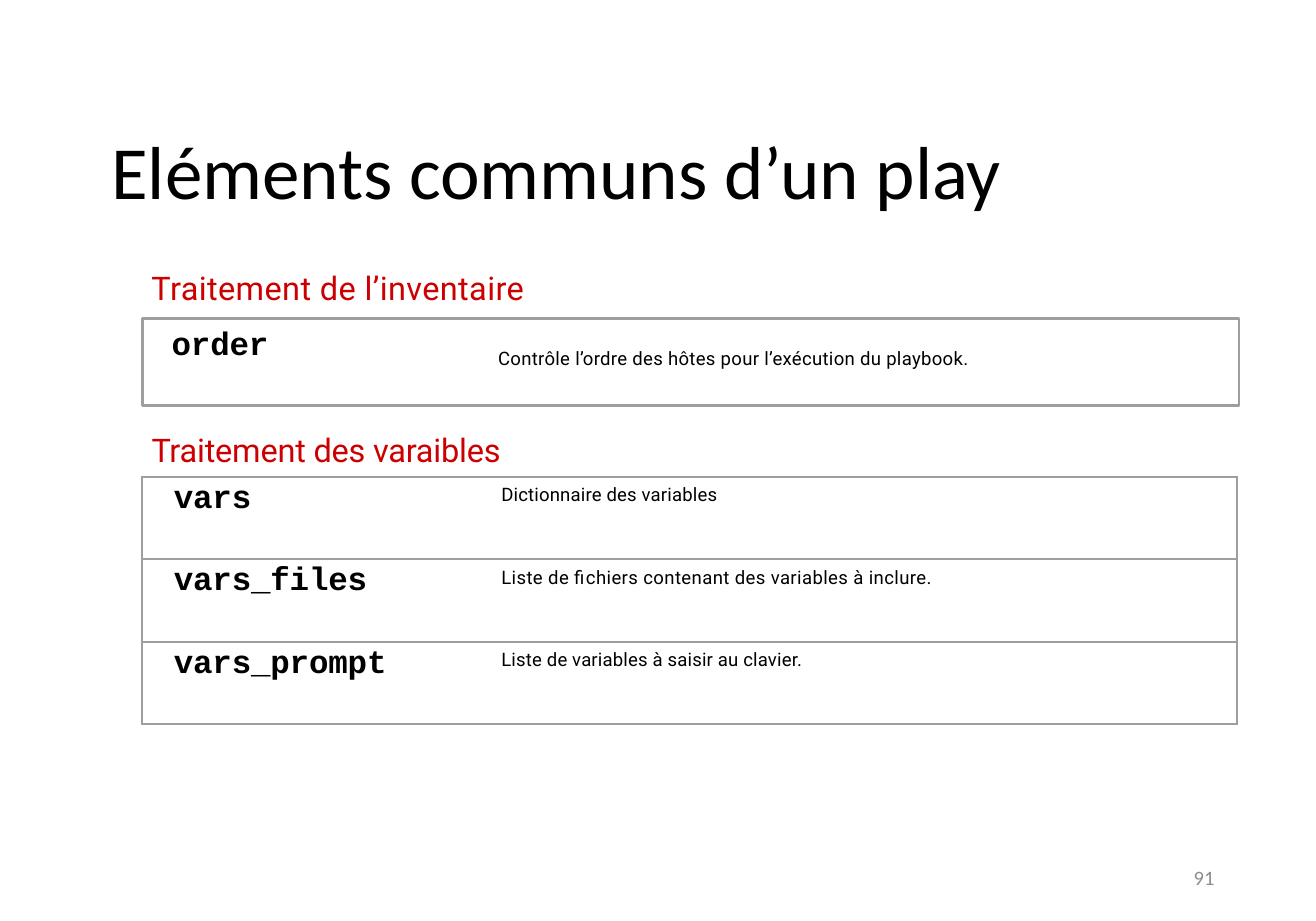
from dataclasses import dataclass

import pptx
import pptx.dml.color
import pptx.enum.shapes
import pptx.enum.text
import pptx.oxml
import pptx.oxml.ns
import pptx.util

PX = 9144  # EMU per px, 100 px to the inch
PAGE_SIZE = (pptx.util.Cm(30), pptx.util.Cm(21))
ALIGN = pptx.enum.text.PP_ALIGN
ANCHOR = pptx.enum.text.MSO_ANCHOR


@dataclass(frozen=True)
class Style:
    font: str
    size: float
    color: str
    bold: bool = False


@dataclass(frozen=True)
class Theme:
    title: Style = Style("Calibri", 48.5, "000000")
    heading: Style = Style("Roboto", 21, "CC0000")
    keyword: Style = Style("Courier New", 21, "000000", True)
    description: Style = Style("Roboto", 12, "000000")
    number: Style = Style("Calibri", 13.2, "8C8C8C")
    border: str = "9E9E9E"
    border_width: float = 1.5


@dataclass(frozen=True)
class Label:
    text: str
    style: Style
    left: int
    top: int
    width: int
    height: int
    inset_top: int = 1
    spacing: int = 0  # hundredths of a point
    align: ALIGN = ALIGN.LEFT
    anchor: ANCHOR = ANCHOR.TOP


@dataclass(frozen=True)
class Element:
    keyword: str
    description: str
    spacing: int


THEME = Theme()
TITLE = Label("Eléments communs d’un play", THEME.title, 100, 110, 916, 83,
              spacing=-5, anchor=ANCHOR.MIDDLE)
LABELS = [
    Label("Traitement de l’inventaire", THEME.heading, 136, 240, 343, 38, spacing=25),
    Label("order", THEME.keyword, 154, 289, 89, 38, spacing=-10),
    Label("Contrôle l’ordre des hôtes pour l’exécution du playbook.",
          THEME.description, 447, 309, 431, 22, inset_top=2, spacing=20),
    Label("Traitement des varaibles", THEME.heading, 136, 385, 318, 38, spacing=-15),
    Label("91", THEME.number, 834, 765, 256, 44, align=ALIGN.RIGHT,
          anchor=ANCHOR.MIDDLE),
]
VARIABLES = [
    Element("vars", "Dictionnaire des variables", 10),
    Element("vars_files", "Liste de fichiers contenant des variables à inclure.", 25),
    Element("vars_prompt", "Liste de variables à saisir au clavier.", 10),
]
COLUMN_WIDTHS = (272, 711)
ROW_HEIGHT = 74


def px(length: int) -> int:
    return pptx.util.Emu(length * PX)


def rgb(color: str) -> pptx.dml.color.RGBColor:
    return pptx.dml.color.RGBColor.from_string(color)


def write(paragraph, text: str, style: Style, spacing: int) -> None:
    run = paragraph.add_run()
    run.text = text
    formats = {"name": style.font, "size": pptx.util.Pt(style.size), "bold": style.bold}
    for name, value in formats.items():
        setattr(run.font, name, value)
    run.font.color.rgb = rgb(style.color)
    run.font._element.set("spc", str(spacing))


def fill_label(shape, label: Label) -> None:
    frame = shape.text_frame
    formats = {
        "word_wrap": True,
        "auto_size": pptx.enum.text.MSO_AUTO_SIZE.NONE,
        "vertical_anchor": label.anchor,
        "margin_left": 0,
        "margin_top": px(label.inset_top),
        "margin_right": 0,
        "margin_bottom": 0,
    }
    for name, value in formats.items():
        setattr(frame, name, value)
    frame.paragraphs[0].alignment = label.align
    write(frame.paragraphs[0], label.text, label.style, label.spacing)


def fill_cell(cell, text: str, style: Style, indent: int, inset_top: int,
              spacing: int, open_side: str) -> None:
    margins = {"margin_left": indent, "margin_top": inset_top,
               "margin_right": 0, "margin_bottom": 0}
    for name, value in margins.items():
        setattr(cell, name, px(value))
    write(cell.text_frame.paragraphs[0], text, style, spacing)

    # Borders come before the fill in the cell properties
    properties = cell._tc.get_or_add_tcPr()
    for side in ("L", "R", "T", "B"):
        paint = ("<a:noFill/>" if side == open_side else
                 f'<a:solidFill><a:srgbClr val="{THEME.border}"/></a:solidFill>')
        properties.append(pptx.oxml.parse_xml(
            f'<a:ln{side} {pptx.oxml.ns.nsdecls("a")} '
            f'w="{pptx.util.Pt(THEME.border_width)}">{paint}</a:ln{side}>'))
    cell.fill.background()


def add_variables(slide) -> None:
    table = slide.shapes.add_table(
        len(VARIABLES), len(COLUMN_WIDTHS), px(127), px(428),
        px(sum(COLUMN_WIDTHS)), px(ROW_HEIGHT * len(VARIABLES))).table
    table.first_row = table.horz_banding = False
    for column, width in zip(table.columns, COLUMN_WIDTHS):
        column.width = px(width)
    for index, element in enumerate(VARIABLES):
        table.rows[index].height = px(ROW_HEIGHT)
        fill_cell(table.cell(index, 0), element.keyword, THEME.keyword,
                  29, 4, -10, "R")
        fill_cell(table.cell(index, 1), element.description, THEME.description,
                  51, 7, element.spacing, "L")


def add_order_frame(slide) -> None:
    frame = slide.shapes.add_shape(pptx.enum.shapes.MSO_SHAPE.RECTANGLE,
                                   px(128), px(286), px(984), px(78))
    frame.shadow.inherit = False
    frame.fill.background()
    frame.line.color.rgb = rgb(THEME.border)
    frame.line.width = pptx.util.Pt(THEME.border_width)


def main() -> None:
    deck = pptx.Presentation()
    deck.slide_width, deck.slide_height = PAGE_SIZE
    slide = deck.slides.add_slide(deck.slide_layouts[5])

    # Title
    title = slide.shapes.title
    for name in ("left", "top", "width", "height"):
        setattr(title, name, px(getattr(TITLE, name)))
    fill_label(title, TITLE)

    # Inventory frame, headings, texts and page number
    add_order_frame(slide)
    for label in LABELS:
        box = slide.shapes.add_textbox(px(label.left), px(label.top),
                                       px(label.width), px(label.height))
        fill_label(box, label)

    # Variables table
    add_variables(slide)
    deck.save("out.pptx")


if __name__ == "__main__":
    main()
